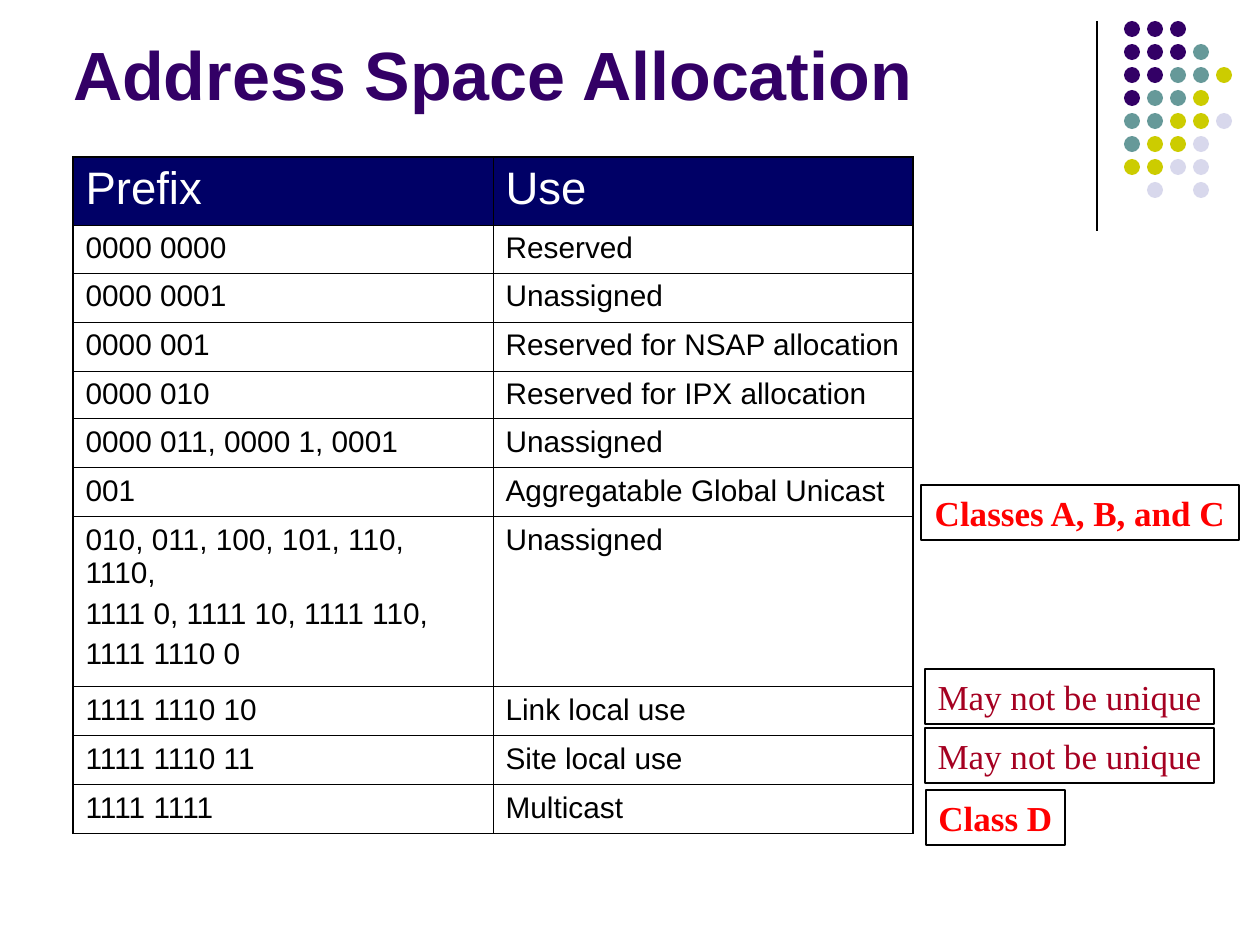
from dataclasses import dataclass
from itertools import pairwise

from lxml.etree import SubElement
from pptx import Presentation
from pptx.dml.color import RGBColor
from pptx.enum.shapes import MSO_CONNECTOR, MSO_SHAPE
from pptx.enum.text import MSO_ANCHOR, PP_ALIGN
from pptx.oxml.ns import qn
from pptx.util import Emu, Pt

EMU_PER_PX = 914400 / 126

BLACK = RGBColor(0x00, 0x00, 0x00)
WHITE = RGBColor(0xFF, 0xFF, 0xFF)
PURPLE = RGBColor(0x33, 0x00, 0x66)
TEAL = RGBColor(0x66, 0x99, 0x99)
OLIVE = RGBColor(0xCC, 0xCC, 0x00)
LAVENDER = RGBColor(0xD8, 0xD8, 0xEC)
NAVY = RGBColor(0x00, 0x00, 0x66)
RED = RGBColor(0xFF, 0x00, 0x00)
CRIMSON = RGBColor(0xA5, 0x00, 0x21)

# One letter per dot, one string per row of the corner ornament
DOT_COLORS = {"P": PURPLE, "T": TEAL, "O": OLIVE, "L": LAVENDER}
DOT_ROWS = ["PPP", "PPPT", "PPTTO", "PTTO", "TTOOL", "TOOL", "OOLL", " L L"]
DOT_LEFT, DOT_TOP, DOT_PITCH, DOT_SIZE = 1124, 21, 23, 16

TABLE_LEFT, COLUMN_WIDTH = 73, 420
ROW_EDGES = [157, 225, 273, 322, 371, 419, 468, 517, 687, 736, 785, 834]
OUTER_BORDER, INNER_BORDER = 1.08, 0.45
ALLOCATIONS = [
    ("Prefix", "Use"),
    ("0000 0000", "Reserved"),
    ("0000 0001", "Unassigned"),
    ("0000 001", "Reserved for NSAP allocation"),
    ("0000 010", "Reserved for IPX allocation"),
    ("0000 011, 0000 1, 0001", "Unassigned"),
    ("001", "Aggregatable Global Unicast"),
    ("010, 011, 100, 101, 110, 1110,\n1111 0, 1111 10, 1111 110,\n1111 1110 0",
     "Unassigned"),
    ("1111 1110 10", "Link local use"),
    ("1111 1110 11", "Site local use"),
    ("1111 1111", "Multicast"),
]


@dataclass(frozen=True)
class Note:
    text: str
    left: int
    top: int
    width: int
    color: RGBColor
    bold: bool = False
    height: int = 55


NOTES = [
    Note("Classes A, B, and C", 921, 485, 318, RED, bold=True),
    Note("May not be unique", 925, 669, 289, CRIMSON),
    Note("May not be unique", 925, 728, 289, CRIMSON),
    Note("Class D", 926, 790, 139, RED, bold=True),
]


def px(length: float) -> Emu:
    return Emu(round(length * EMU_PER_PX))


def write(frame, text: str, *, size: float, color: RGBColor, font: str = "Arial",
          bold: bool = False, align=PP_ALIGN.LEFT, before: float = 0) -> None:
    """Fill a text frame, one paragraph per line of text."""
    frame.text = text
    for paragraph in frame.paragraphs:
        paragraph.alignment = align
        paragraph.space_before = Pt(before)
        for run in paragraph.runs:
            run.font.name = font
            run.font.size = Pt(size)
            run.font.bold = bold
            run.font.color.rgb = color


def set_border(cell, side: str, width: float) -> None:
    line = SubElement(cell._tc.get_or_add_tcPr(), qn(f"a:ln{side}"), w=str(Pt(width)))
    fill = SubElement(line, qn("a:solidFill"))
    SubElement(fill, qn("a:srgbClr"), val=str(BLACK))


def add_title(slide) -> None:
    title = slide.shapes.title
    title.left, title.top, title.width, title.height = px(73), px(32), px(1071), px(82)
    frame = title.text_frame
    frame.margin_left = frame.margin_right = frame.margin_top = frame.margin_bottom = 0
    frame.vertical_anchor = MSO_ANCHOR.TOP
    write(frame, "Address Space Allocation", size=39, color=PURPLE, bold=True)


def add_ornament(slide) -> None:
    rule = slide.shapes.add_connector(
        MSO_CONNECTOR.STRAIGHT, px(1097), px(21), px(1097), px(231))
    rule.line.color.rgb = BLACK
    rule.line.width = Pt(0.75)
    SubElement(rule._element.spPr, qn("a:effectLst"))

    for row, letters in enumerate(DOT_ROWS):
        for column, letter in enumerate(letters):
            if letter == " ":
                continue
            dot = slide.shapes.add_shape(
                MSO_SHAPE.OVAL, px(DOT_LEFT + column * DOT_PITCH),
                px(DOT_TOP + row * DOT_PITCH), px(DOT_SIZE), px(DOT_SIZE))
            dot.shadow.inherit = False
            dot.fill.solid()
            dot.fill.fore_color.rgb = DOT_COLORS[letter]
            dot.line.fill.background()


def add_allocation_table(slide) -> None:
    last_row, last_column = len(ALLOCATIONS) - 1, len(ALLOCATIONS[0]) - 1
    table = slide.shapes.add_table(
        last_row + 1, last_column + 1, px(TABLE_LEFT), px(ROW_EDGES[0]),
        px(COLUMN_WIDTH * (last_column + 1)), px(ROW_EDGES[-1] - ROW_EDGES[0])).table
    table.first_row = table.horz_banding = False
    for column in table.columns:
        column.width = px(COLUMN_WIDTH)
    for row, (top, bottom) in zip(table.rows, pairwise(ROW_EDGES)):
        row.height = px(bottom - top)

    for r, entries in enumerate(ALLOCATIONS):
        for c, entry in enumerate(entries):
            cell = table.cell(r, c)
            outer_sides = {"L": c == 0, "R": c == last_column,
                           "T": r == 0, "B": r == last_row}
            for side, outer in outer_sides.items():
                set_border(cell, side, OUTER_BORDER if outer else INNER_BORDER)
            if r == 0:
                cell.fill.solid()
                cell.fill.fore_color.rgb = NAVY
                write(cell.text_frame, entry, size=26, color=WHITE, before=6.5)
            else:
                cell.fill.background()
                write(cell.text_frame, entry, size=17, color=BLACK, before=4.2)


def add_note(slide, note: Note) -> None:
    box = slide.shapes.add_shape(
        MSO_SHAPE.RECTANGLE, px(note.left), px(note.top), px(note.width), px(note.height))
    box.shadow.inherit = False
    box.fill.background()
    box.line.color.rgb = BLACK
    box.line.width = Pt(0.75)
    box.text_frame.word_wrap = False
    box.text_frame.vertical_anchor = MSO_ANCHOR.TOP
    write(box.text_frame, note.text, size=20, color=note.color, font="Times New Roman",
          bold=note.bold, align=PP_ALIGN.CENTER, before=12.5)


def main() -> None:
    presentation = Presentation()
    presentation.slide_width, presentation.slide_height = px(1260), px(945)
    title_only = presentation.slide_layouts[5]
    slide = presentation.slides.add_slide(title_only)

    add_ornament(slide)
    add_title(slide)
    add_allocation_table(slide)
    # Remarks beside the table rows
    for note in NOTES:
        add_note(slide, note)

    presentation.save("out.pptx")


if __name__ == "__main__":
    main()
